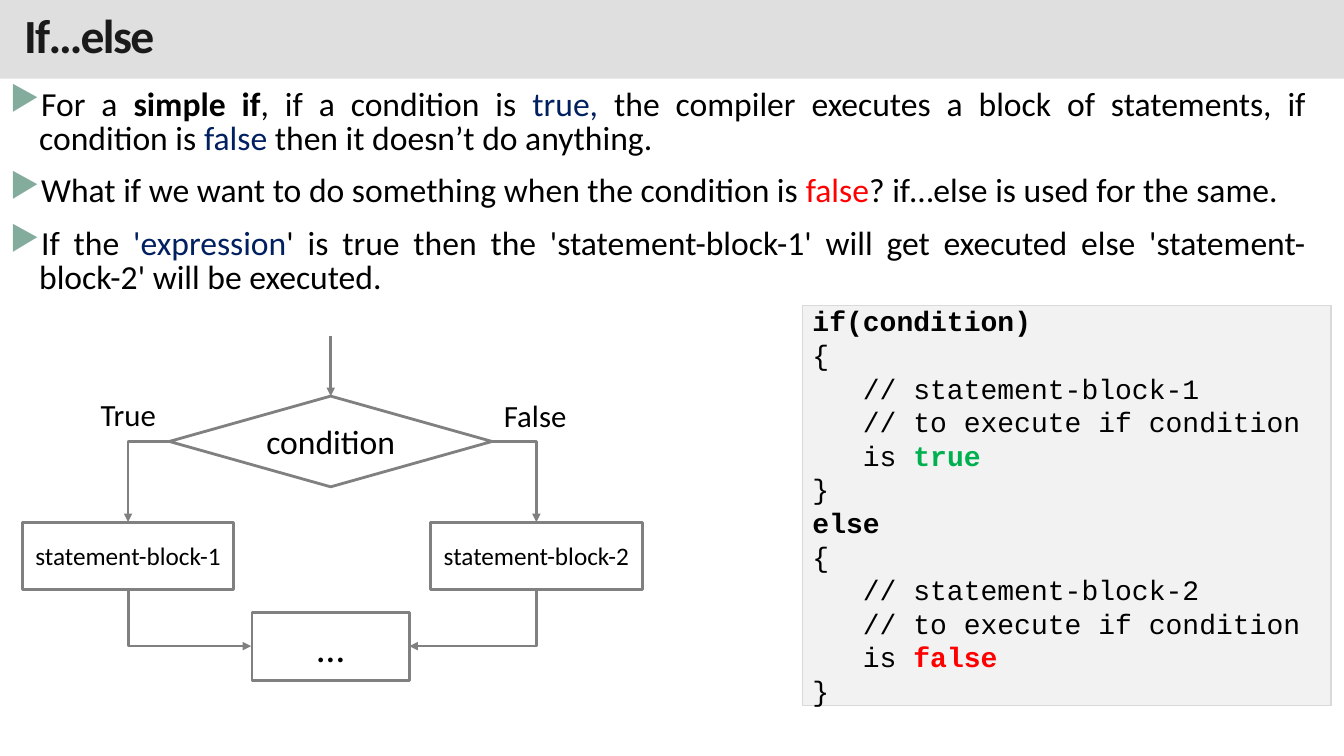
import pptx
import pptx.util
import pptx.dml.color
import pptx.enum.shapes
import pptx.enum.text
import pptx.oxml
import pptx.oxml.ns

Inches = pptx.util.Inches
Pt = pptx.util.Pt
RGBColor = pptx.dml.color.RGBColor
MSO_SHAPE = pptx.enum.shapes.MSO_SHAPE
MSO_CONNECTOR = pptx.enum.shapes.MSO_CONNECTOR
PP_ALIGN = pptx.enum.text.PP_ALIGN
MSO_ANCHOR = pptx.enum.text.MSO_ANCHOR
MSO_AUTO_SIZE = pptx.enum.text.MSO_AUTO_SIZE
qn = pptx.oxml.ns.qn

BLACK = RGBColor(0, 0, 0)
TITLE_TEXT = RGBColor(0x1A, 0x1A, 0x1A)
TITLE_BAND = RGBColor(0xC0, 0xC0, 0xC0)
NAVY = RGBColor(0x00, 0x20, 0x60)
RED = RGBColor(0xFF, 0, 0)
GREEN = RGBColor(0x00, 0xB0, 0x50)
GRAY = RGBColor(0x80, 0x80, 0x80)
CODE_FILL = RGBColor(0xF2, 0xF2, 0xF2)
CODE_LINE = RGBColor(0xD9, 0xD9, 0xD9)
BULLET = RGBColor(0x84, 0xAC, 0x9D)
NAMESPACE = pptx.oxml.ns.nsdecls("a")


def add_runs(paragraph, runs, size, font="Calibri"):
    for text, color, bold in runs:
        run = paragraph.add_run()
        run.text = text
        run.font.name = font
        run.font.size = Pt(size)
        run.font.color.rgb = color
        run.font.bold = bold


def style_arrow(connector):
    connector.line.color.rgb = GRAY
    connector.line.width = Pt(2)
    connector.line._get_or_add_ln().append(
        pptx.oxml.parse_xml(f'<a:tailEnd {NAMESPACE} type="triangle"/>'))
    connector._element.spPr.append(pptx.oxml.parse_xml(f"<a:effectLst {NAMESPACE}/>"))


presentation = pptx.Presentation()
presentation.slide_width = Inches(13.33)
presentation.slide_height = Inches(7.5)
slide = presentation.slides.add_slide(presentation.slide_layouts[5])
shapes = slide.shapes

title = shapes.title
title.left, title.top = Inches(0), Inches(0)
title.width, title.height = Inches(13.33), Inches(0.78)
title.fill.solid()
title.fill.fore_color.rgb = TITLE_BAND
title.fill._xPr.find(".//" + qn("a:srgbClr")).append(
    pptx.oxml.parse_xml(f'<a:alpha {NAMESPACE} val="50000"/>'))
title_frame = title.text_frame
title_frame.auto_size = MSO_AUTO_SIZE.NONE
title_frame.vertical_anchor = MSO_ANCHOR.MIDDLE
title_frame.margin_left = title_frame.margin_right = Inches(0.24)
title_frame.margin_top = title_frame.margin_bottom = Inches(0.12)
title_paragraph = title_frame.paragraphs[0]
title_paragraph.alignment = PP_ALIGN.LEFT
title_paragraph.line_spacing = 0.85
add_runs(title_paragraph, [("If…else", TITLE_TEXT, True)], 34)
title_paragraph.runs[0].font._element.set("spc", "-120")

body_paragraphs = [
    [("For a ", BLACK, False), ("simple if", BLACK, True),
     (", if a condition is ", BLACK, False), ("true, ", NAVY, False),
     ("the compiler executes a block of statements, if condition is ", BLACK, False),
     ("false", NAVY, False), (" then it doesn’t do anything.", BLACK, False)],
    [("What if we want to do something when the condition is ", BLACK, False),
     ("false", RED, False), ("? if…else is used for the same.", BLACK, False)],
    [("If the ", BLACK, False), ("'expression", NAVY, False),
     ("' is true then the 'statement-block-1' will get executed else "
      "'statement-block-2' will be executed.", BLACK, False)],
]
body_frame = shapes.add_textbox(Inches(0), Inches(0.83), Inches(13.05), Inches(6.11)).text_frame
body_frame.word_wrap = True
for index, runs in enumerate(body_paragraphs):
    paragraph = body_frame.add_paragraph() if index else body_frame.paragraphs[0]
    paragraph.alignment = PP_ALIGN.JUSTIFY
    paragraph.line_spacing = 0.85
    paragraph.space_before = Pt(13)
    properties = paragraph._p.get_or_add_pPr()
    properties.set("marL", str(Inches(0.29)))
    properties.set("indent", str(Inches(-0.29)))
    properties.append(pptx.oxml.parse_xml(
        f'<a:buClr {NAMESPACE}><a:srgbClr val="{BULLET}"/></a:buClr>'))
    properties.append(pptx.oxml.parse_xml(f'<a:buChar {NAMESPACE} char="▶"/>'))
    add_runs(paragraph, runs, 24)

code_lines = [(0, [("if(condition)", BLACK, True)])]
for number, outcome, color in [(1, "true", GREEN), (2, "false", RED)]:
    if number == 2:
        code_lines.append((0, [("else", BLACK, True)]))
    code_lines += [
        (1, [("{", BLACK, False)][:0] or [(f"// statement-block-{number}", BLACK, False)]),
        (1, [("// to execute if condition is ", BLACK, False), (outcome, color, True)]),
        (0, [("}", BLACK, False)]),
    ]
    code_lines.insert(-3, (0, [("{", BLACK, False)]))
code_box = shapes.add_shape(MSO_SHAPE.RECTANGLE, Inches(7.96), Inches(3.03), Inches(5.24), Inches(3.97))
code_box.shadow.inherit = False
code_box.fill.solid()
code_box.fill.fore_color.rgb = CODE_FILL
code_box.line.color.rgb = CODE_LINE
code_box.line.width = Pt(1)
code_frame = code_box.text_frame
code_frame.word_wrap = True
code_frame.vertical_anchor = MSO_ANCHOR.MIDDLE
for index, (level, runs) in enumerate(code_lines):
    paragraph = code_frame.add_paragraph() if index else code_frame.paragraphs[0]
    paragraph.alignment = PP_ALIGN.LEFT
    paragraph.level = level
    properties = paragraph._p.get_or_add_pPr()
    properties.set("marL", str(Inches(0.5 * level)))
    properties.set("indent", "0")
    add_runs(paragraph, runs, 20, "Courier New")

flow_nodes = {}
for text, kind, left, top, width, height, size in [
    ("condition", MSO_SHAPE.FLOWCHART_DECISION, 1.68, 3.93, 3.2, 0.9, 24),
    ("statement-block-1", MSO_SHAPE.FLOWCHART_PROCESS, 0.22, 5.18, 2.1, 0.67, 18),
    ("statement-block-2", MSO_SHAPE.FLOWCHART_PROCESS, 4.27, 5.18, 2.1, 0.67, 18),
    ("…", MSO_SHAPE.FLOWCHART_PROCESS, 2.5, 6.08, 1.56, 0.67, 28),
]:
    node = shapes.add_shape(kind, Inches(left), Inches(top), Inches(width), Inches(height))
    node.shadow.inherit = False
    node.fill.background()
    node.line.color.rgb = GRAY
    node.line.width = Pt(2)
    node.text_frame.word_wrap = True
    node.text_frame.vertical_anchor = MSO_ANCHOR.MIDDLE
    node.text_frame.paragraphs[0].alignment = PP_ALIGN.CENTER
    add_runs(node.text_frame.paragraphs[0], [(text, BLACK, False)], size)
    flow_nodes[text] = node

entry_arrow = shapes.add_connector(
    MSO_CONNECTOR.STRAIGHT, Inches(3.28), Inches(3.33), Inches(3.28), Inches(3.93))
entry_arrow.end_connect(flow_nodes["condition"], 0)
style_arrow(entry_arrow)

for begin_x, begin_y, end_x, end_y, rotation in [
    (4.88, 4.38, 5.32, 5.18, 0),
    (1.27, 5.18, 1.68, 4.38, 180),
    (4.41, 5.5, 4.97, 6.76, 90),
    (2.16, 5.52, 1.6, 6.74, 270),
]:
    elbow = shapes.add_connector(
        MSO_CONNECTOR.ELBOW, Inches(begin_x), Inches(begin_y), Inches(end_x), Inches(end_y))
    elbow._element.spPr.find(qn("a:prstGeom")).set("prst", "bentConnector2")
    elbow._element.spPr.find(qn("a:xfrm")).set("rot", str(rotation * 60000))
    style_arrow(elbow)

for text, left, top, width in [("True", 0.9, 3.88, 0.76), ("False", 4.9, 3.89, 0.83)]:
    label_frame = shapes.add_textbox(Inches(left), Inches(top), Inches(width), Inches(0.47)).text_frame
    label_frame.word_wrap = False
    label_frame.auto_size = MSO_AUTO_SIZE.SHAPE_TO_FIT_TEXT
    add_runs(label_frame.paragraphs[0], [(text, BLACK, False)], 22)

presentation.save("out.pptx")
